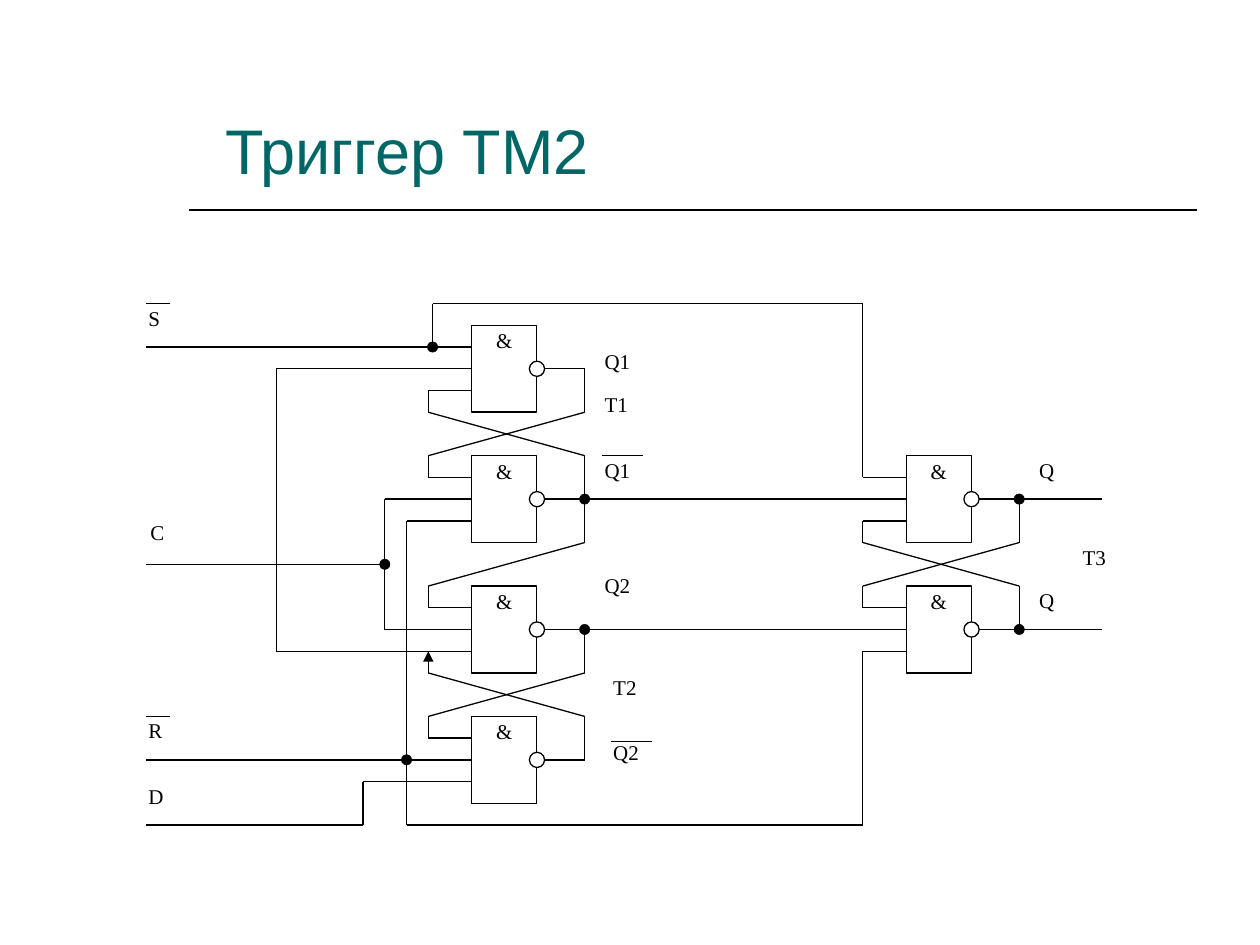
"""Build the slide with the logic diagram of the TM2 flip-flop."""
from itertools import pairwise

from lxml import etree
from pptx import Presentation
from pptx.dml.color import RGBColor
from pptx.enum.shapes import MSO_CONNECTOR, MSO_SHAPE
from pptx.enum.text import MSO_ANCHOR, MSO_AUTO_SIZE, PP_ALIGN
from pptx.oxml.ns import qn
from pptx.util import Cm, Pt

STRAIGHT = MSO_CONNECTOR.STRAIGHT
RECT, OVAL = MSO_SHAPE.RECTANGLE, MSO_SHAPE.OVAL
TOP, BOTTOM = MSO_ANCHOR.TOP, MSO_ANCHOR.BOTTOM
LEFT, CENTER = PP_ALIGN.LEFT, PP_ALIGN.CENTER
NO_FIT = MSO_AUTO_SIZE.NONE

THEME = {
    "title": ("Arial", 36, RGBColor(0x00, 0x66, 0x66)),
    "label": ("Times New Roman", 12, RGBColor(0, 0, 0)),
    "ink": RGBColor(0, 0, 0),
    "paper": RGBColor(255, 255, 255),
    "rule": 1, "wire": 0.75, "overline": 0.5, "dot": 0.25,
}

TITLE = "Триггер ТМ2"
X0, Y0, UNIT = 2.94, 6.12, 0.438
GATE_W, GATE_H, BUBBLE, DOT = 3, 4, 0.7, 0.48
FEED, OUT = 2, 5.2
OUT_PIN = GATE_W + BUBBLE / 2

GATES = [(15, 1), (15, 7), (15, 13), (15, 19), (35, 7), (35, 13)]
FALLING = [(15, 3), (15, 9), (15, 15), (35, 9)]
RISING = [(15, 3), (35, 9)]
OUTPUT_ENDS = [15 + OUT, 35, 35, 15 + OUT, 44, 44]
WIRES = [
    [(0, 2), (15, 2)],
    [(13.2, 2), (13.2, 0), (33, 0), (33, 8), (35, 8)],
    [(15, 16), (6, 16), (6, 3), (15, 3)],
    [(0, 12), (11, 12)],
    [(11, 12), (11, 9), (15, 9)],
    [(11, 12), (11, 15), (15, 15)],
    [(0, 21), (15, 21)],
    [(15, 10), (12, 10), (12, 24), (33, 24), (33, 16), (35, 16)],
    [(0, 24), (10, 24), (10, 22), (15, 22)],
    [(15 + OUT, 21), (15 + OUT, 19), (13, 17)],
]
ARROW = [(13, 17), (13, 16)]
DOTS = [(13.2, 2), (11, 12), (12, 21), (15 + OUT, 9), (15 + OUT, 15),
        (35 + OUT, 9), (35 + OUT, 15)]
LABELS = [
    ("S", 0, 0, 0), ("С", 0.1, 9.86, None), ("R", 0, 19, 0), ("D", 0, 22, None),
    ("Q1", 21, 2, None), ("T1", 21, 4, None), ("Q1", 21, 7, 0),
    ("Q2", 21, 12.3, None), ("T2", 21.4, 17, None), ("Q2", 21.4, 20, 0.15),
    ("T3", 43, 11, None), ("Q", 41, 7, None), ("Q", 41, 13, None),
]


def at(col, row):
    return Cm(X0 + col * UNIT), Cm(Y0 + row * UNIT)


def span(units):
    return Cm(units * UNIT)


def write(tf, text, style, align, anchor, insets):
    tf.text = text
    tf.word_wrap = True
    tf.auto_size = NO_FIT
    tf.vertical_anchor = anchor
    tf.margin_left, tf.margin_top, tf.margin_right, tf.margin_bottom = map(Cm, insets)
    p = tf.paragraphs[0]
    p.alignment = align
    font = p.runs[0].font
    font.name, size, font.color.rgb = THEME[style]
    font.size = Pt(size)


def add_line(s, start, end, weight):
    line = s.shapes.add_connector(STRAIGHT, *start, *end)
    line.line.color.rgb = THEME["ink"]
    line.line.width = Pt(THEME[weight])
    etree.SubElement(line._element.spPr, qn("a:effectLst"))
    return line


def add_wire(s, points, pins):
    for a, b in pairwise(points):
        wire = add_line(s, at(*a), at(*b), "wire")
        if b in pins:
            wire.end_connect(pins[b], 1)
    return wire


def add_node(s, kind, col, row, w, h, fill, weight):
    sp = s.shapes.add_shape(kind, *at(col, row), span(w), span(h))
    sp.shadow.inherit = False
    sp.fill.solid()
    sp.fill.fore_color.rgb = THEME[fill]
    sp.line.color.rgb = THEME["ink"]
    sp.line.width = Pt(THEME[weight])
    return sp


def add_circle(s, col, row, d, fill, weight):
    add_node(s, OVAL, col - d / 2, row - d / 2, d, d, fill, weight)


def add_gate(s, col, row):
    gate = add_node(s, RECT, col, row, GATE_W, GATE_H, "paper", "wire")
    write(gate.text_frame, "&", "label", CENTER, TOP, (0.05, 0.05, 0.05, 0.13))
    add_circle(s, col + GATE_W, row + GATE_H / 2, BUBBLE, "paper", "wire")
    return gate


def add_label(s, text, col, row, bar):
    w, h = (1.2, 1.7) if col < 1 else (3, 2)
    tb = s.shapes.add_textbox(*at(col, row), span(w), span(h))
    write(tb.text_frame, text, "label", LEFT, TOP, (0.05, 0.03, 0.05, 0.03))
    if bar is not None:
        length = 1.1 if len(text) == 1 else 1.9
        add_line(s, at(col, row + bar), at(col + length, row + bar), "overline")


def falling(c, r):
    return [(c + OUT, r), (c + OUT, r + 2), (c - FEED, r + 4), (c - FEED, r + 5), (c, r + 5)]


def rising(c, r):
    return [(c, r + 1), (c - FEED, r + 1), (c - FEED, r + 2), (c + OUT, r + 4), (c + OUT, r + 6)]


def main():
    prs = Presentation()
    prs.slide_width, prs.slide_height = Cm(25.4), Cm(19.05)
    s = prs.slides.add_slide(prs.slide_layouts[5])

    title = s.shapes.title
    title.left, title.top, title.width, title.height = map(Cm, (4.3, 0.2, 19.9, 3.7))
    write(title.text_frame, TITLE, "title", LEFT, BOTTOM, (0.25, 0.13, 0.25, 0.13))
    add_line(s, (Cm(3.81), Cm(4.24)), (Cm(24.13), Cm(4.24)), "rule")

    pins = {(c, r + GATE_H // 2): add_gate(s, c, r) for c, r in GATES}
    outputs = [[(c + OUT_PIN, r + GATE_H // 2), (end, r + GATE_H // 2)]
               for (c, r), end in zip(GATES, OUTPUT_ENDS)]
    crossings = [falling(*g) for g in FALLING] + [rising(*g) for g in RISING]
    for points in WIRES + outputs + crossings:
        add_wire(s, points, pins)

    ln = add_wire(s, ARROW, pins).line._get_or_add_ln()
    etree.SubElement(ln, qn("a:tailEnd"), type="triangle")

    for col, row in DOTS:
        add_circle(s, col, row, DOT, "ink", "dot")
    for label in LABELS:
        add_label(s, *label)
    prs.save("out.pptx")


if __name__ == "__main__":
    main()
